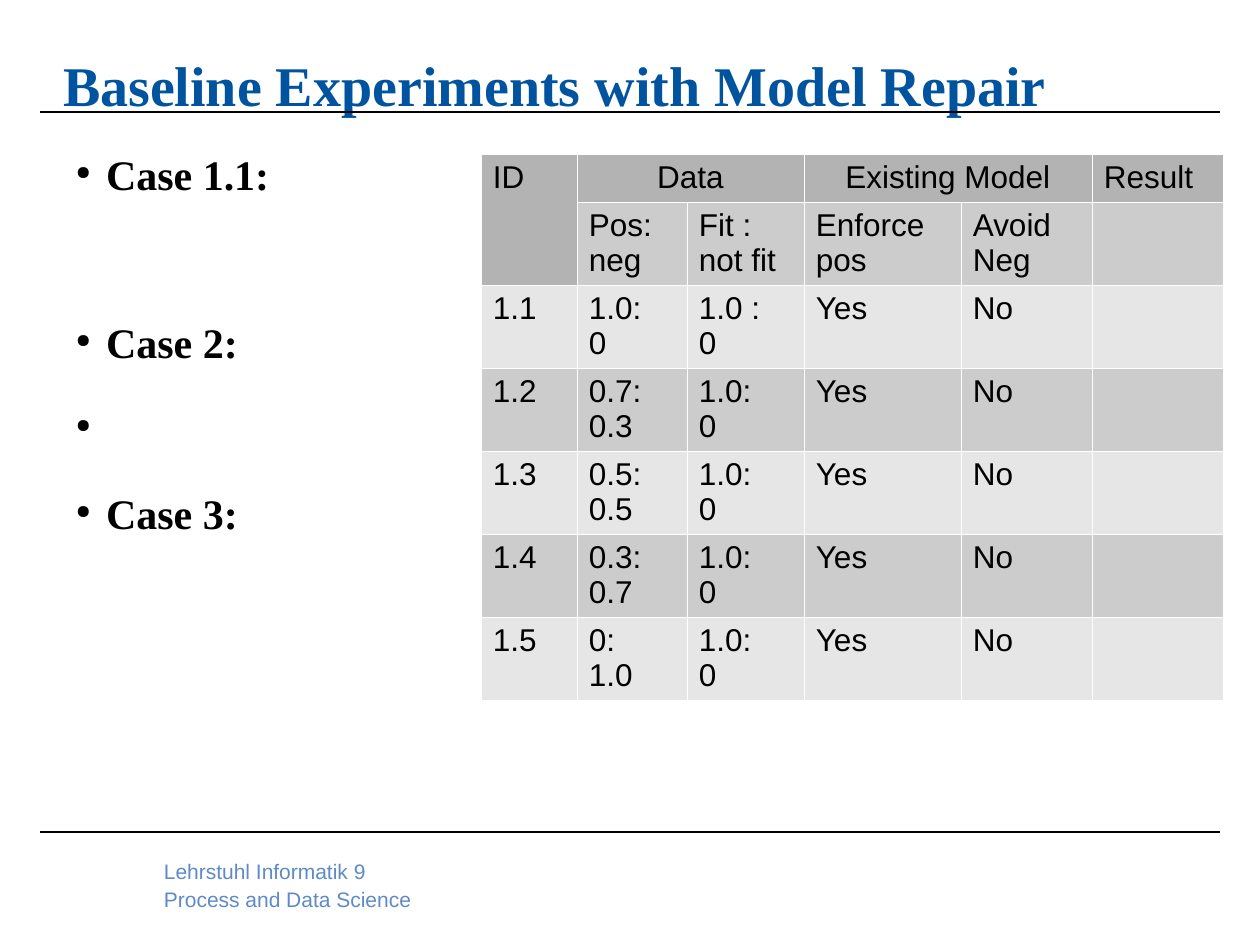
from dataclasses import dataclass

from lxml.etree import SubElement
from pptx import Presentation
from pptx.dml.color import RGBColor
from pptx.enum.shapes import MSO_CONNECTOR
from pptx.enum.text import MSO_ANCHOR, MSO_AUTO_SIZE, PP_ALIGN
from pptx.oxml import parse_xml
from pptx.oxml.ns import nsdecls, qn
from pptx.util import Pt

PIXEL = 914400 // 126


@dataclass(frozen=True)
class Theme:
    serif: str = "Times New Roman"
    sans: str = "Arial"
    title: str = "00549F"
    footer: str = "5E8AC7"
    ink: str = "000000"
    grid: str = "FFFFFF"
    header: str = "B3B3B3"
    bands: tuple = ("CCCCCC", "E6E6E6")
    title_size: int = 32
    body_size: int = 24
    table_size: int = 18
    footer_size: int = 12


THEME = Theme()

COLUMNS = [96, 110, 117, 157, 131, 131]
HEADER_HEIGHT, ROW_HEIGHT = 48, 83
RATIOS = [
    ("1.1", "1.0:\n0", "1.0 :\n0"),
    ("1.2", "0.7:\n0.3", "1.0:\n0"),
    ("1.3", "0.5:\n0.5", "1.0:\n0"),
    ("1.4", "0.3:\n0.7", "1.0:\n0"),
    ("1.5", "0:\n1.0", "1.0:\n0"),
]
ROWS = [
    ("ID", "Data", "", "Existing Model", "", "Result"),
    ("", "Pos:\nneg", "Fit : not fit", "Enforce \npos", "Avoid \nNeg", ""),
] + [(*ratios, "Yes", "No", "") for ratios in RATIOS]
MERGES = [((0, 0), (1, 0)), ((0, 1), (0, 2)), ((0, 3), (0, 4))]
CASES = ["Case 1.1: ", "Case 2:", " ", "Case 3:"]


def px(*values):
    return [value * PIXEL for value in values]


def style(para, font, size, color, bold=False, spacing=1.0):
    para.font.name = font
    para.font.size = Pt(size)
    para.font.bold = bold
    para.font.color.rgb = RGBColor.from_string(color)
    para.line_spacing = spacing


def set_frame(frame, left=13, top=6):
    frame.word_wrap = True
    frame.auto_size = MSO_AUTO_SIZE.NONE
    frame.vertical_anchor = MSO_ANCHOR.TOP
    frame.margin_left, frame.margin_right = px(left, left)
    frame.margin_top, frame.margin_bottom = px(top, 6)


def add_text(page, bounds, text, **margins):
    box = page.shapes.add_textbox(*px(*bounds))
    set_frame(box.text_frame, **margins)
    box.text_frame.text = text
    return box.text_frame.paragraphs


def add_rule(page, y):
    rule = page.shapes.add_connector(MSO_CONNECTOR.STRAIGHT, *px(40, y, 1220, y))
    rule.line.color.rgb = RGBColor.from_string(THEME.ink)
    rule.line.width = Pt(0.75)
    SubElement(rule._element.spPr, qn("a:effectLst"))


def set_title(page, text):
    title = page.shapes.title
    title.left, title.top, title.width, title.height = px(50, 38, 1147, 113)
    set_frame(title.text_frame)
    title.text_frame.text = text
    para = title.text_frame.paragraphs[0]
    para.alignment = PP_ALIGN.LEFT
    style(para, THEME.serif, THEME.title_size, THEME.title, True, 1.1)


def add_bullet(para):
    properties = para._p.get_or_add_pPr()
    properties.set("marL", str(30 * PIXEL))
    properties.set("indent", str(-30 * PIXEL))
    bullet = [
        f'<a:buClr {nsdecls("a")}><a:srgbClr val="{THEME.ink}"/></a:buClr>',
        f'<a:buSzPct {nsdecls("a")} val="45000"/>',
        f'<a:buChar {nsdecls("a")} char="●"/>',
    ]
    properties.insert_element_before(parse_xml(bullet[0]), "a:defRPr")
    for xml in bullet[1:]:
        properties.insert_element_before(parse_xml(xml), "a:defRPr")


def add_cases(page):
    paras = add_text(page, (63, 139, 1121, 503), "\n".join(CASES))
    for para in paras:
        style(para, THEME.serif, THEME.body_size, THEME.ink, True, 1.08)
        para.space_before, para.space_after = Pt(11.9), Pt(6)
        add_bullet(para)
    paras[0].space_after = Pt(52.7)


def add_footer(page):
    text = "Lehrstuhl Informatik 9\nProcess and Data Science"
    for para in add_text(page, (164, 833, 378, 63), text, left=0, top=24):
        style(para, THEME.sans, THEME.footer_size, THEME.footer, spacing=1.08)


def set_borders(cell):
    properties = cell._tc.get_or_add_tcPr()
    for index, side in enumerate(("lnL", "lnR", "lnT", "lnB")):
        properties.insert(index, parse_xml(
            f'<a:{side} {nsdecls("a")} w="762"><a:solidFill>'
            f'<a:srgbClr val="{THEME.grid}"/></a:solidFill></a:{side}>'))


def fill_cell(cell, text, color, centred):
    cell.margin_left, cell.margin_right, cell.margin_top, cell.margin_bottom = px(12, 12, 6, 6)
    cell.fill.solid()
    cell.fill.fore_color.rgb = RGBColor.from_string(color)
    set_borders(cell)
    cell.text = text
    for para in cell.text_frame.paragraphs:
        style(para, THEME.sans, THEME.table_size, THEME.ink)
        if centred:
            para.alignment = PP_ALIGN.CENTER


def add_results(page):
    heights = [HEADER_HEIGHT] + [ROW_HEIGHT] * (len(ROWS) - 1)
    bounds = px(481, 154, sum(COLUMNS), sum(heights))
    table = page.shapes.add_table(len(ROWS), len(COLUMNS), *bounds).table
    table.first_row = table.horz_banding = False
    for column, width in zip(table.columns, COLUMNS):
        column.width = width * PIXEL
    for row, height in zip(table.rows, heights):
        row.height = height * PIXEL
    for first, last in MERGES:
        table.cell(*first).merge(table.cell(*last))
    for r, texts in enumerate(ROWS):
        for c, text in enumerate(texts):
            is_header = r == 0 or (r, c) == (1, 0)
            color = THEME.header if is_header else THEME.bands[(r + 1) % 2]
            cell = table.cell(r, c)
            fill_cell(cell, text, color, r == 0 and cell.is_merge_origin and c > 0)


def main():
    deck = Presentation()
    deck.slide_width, deck.slide_height = 9144000, 6858000
    page = deck.slides.add_slide(deck.slide_layouts[5])
    add_footer(page)
    for y in (112, 832):
        add_rule(page, y)
    set_title(page, "Baseline Experiments with Model Repair ")
    add_cases(page)
    add_results(page)
    deck.save("out.pptx")


main()
